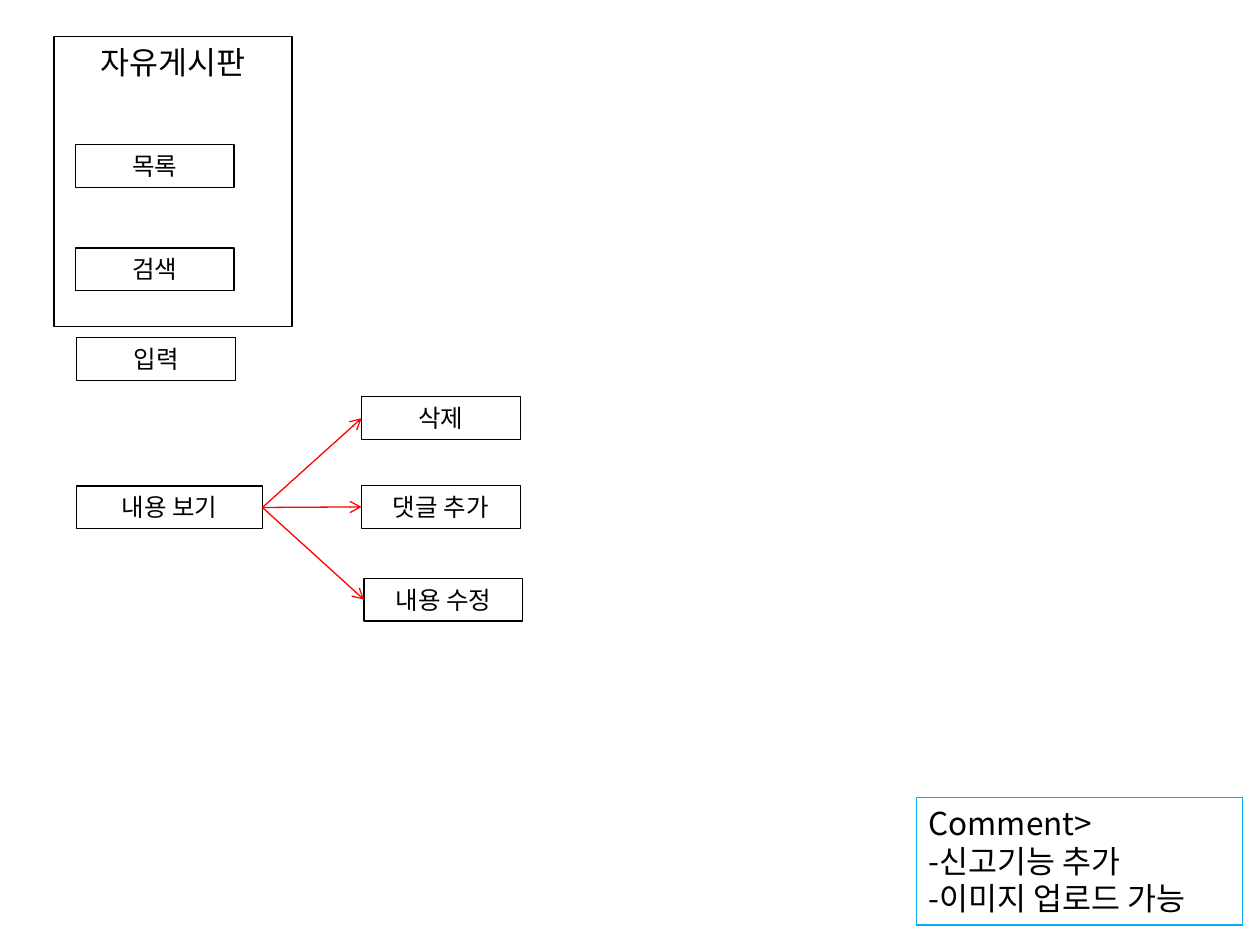
"""Build the free-board feature map slide."""
from lxml import etree
from pptx import Presentation
from pptx.dml.color import RGBColor
from pptx.enum.shapes import MSO_CONNECTOR
from pptx.enum.text import MSO_ANCHOR, MSO_AUTO_SIZE, PP_ALIGN
from pptx.oxml.ns import qn
from pptx.util import Cm, Pt

STRAIGHT = MSO_CONNECTOR.STRAIGHT
TOP = MSO_ANCHOR.TOP
GROW = MSO_AUTO_SIZE.SHAPE_TO_FIT_TEXT
LEFT, CENTER = PP_ALIGN.LEFT, PP_ALIGN.CENTER
FONT = "Noto Sans CJK KR"
COLORS = {"ink": "000000", "arrow": "FF0000", "comment": "00B0F0"}
BOX_WIDTH, BOX_HEIGHT = 3.2, 0.86
RIGHT_SIDE, LEFT_SIDE = 3, 1


def write_box(box, text, at, size=14, border="ink", align=CENTER, wrap=True):
    box.left, box.top, box.width, box.height = [Cm(length) for length in at]
    box.line.color.rgb = RGBColor.from_string(COLORS[border])
    box.line.width = Pt(0.75)
    frame = box.text_frame
    frame.word_wrap = wrap
    frame.auto_size = GROW
    frame.vertical_anchor = TOP
    frame.text = text
    for paragraph in frame.paragraphs:
        paragraph.alignment = align
        paragraph.space_before = Pt(0)
        for run in paragraph.runs:
            run.font.size = Pt(size)
            run.font.color.rgb = RGBColor.from_string(COLORS["ink"])
            run.font.name = FONT
            east_asian = etree.SubElement(run.font._element, qn("a:ea"))
            east_asian.set("typeface", FONT)
    return box


prs = Presentation()
prs.slide_width, prs.slide_height = Cm(25.4), Cm(19.05)
slide = prs.slides.add_slide(prs.slide_layouts[5])
shapes = slide.shapes

write_box(shapes.title, "자유게시판", (1.09, 0.74, 4.8, 1.02), size=18)

features = [
    ("목록", 1.52, 2.92, BOX_WIDTH),
    ("검색", 1.52, 5.0, BOX_WIDTH),
    ("입력", 1.55, 6.81, BOX_WIDTH),
    ("내용 보기", 1.55, 9.8, 3.74),
    ("삭제", 7.29, 8.0, BOX_WIDTH),
    ("댓글 추가", 7.29, 9.79, BOX_WIDTH),
    ("내용 수정", 7.34, 11.66, BOX_WIDTH),
]
feature_boxes = {}
for label, left, top, width in features:
    feature_boxes[label] = write_box(
        shapes.add_textbox(0, 0, 0, 0), label, (left, top, width, BOX_HEIGHT))

for action in ("댓글 추가", "내용 수정", "삭제"):
    arrow = shapes.add_connector(STRAIGHT, 0, 0, 0, 0)
    arrow.begin_connect(feature_boxes["내용 보기"], RIGHT_SIDE)
    arrow.end_connect(feature_boxes[action], LEFT_SIDE)
    arrow.line.color.rgb = RGBColor.from_string(COLORS["arrow"])
    arrow.line.width = Pt(0.75)
    outline = arrow.line._get_or_add_ln()
    etree.SubElement(outline, qn("a:tailEnd")).set("type", "arrow")
    etree.SubElement(arrow._element.spPr, qn("a:effectLst"))

write_box(shapes.add_textbox(0, 0, 0, 0),
          "Comment>\n-신고기능 추가\n-이미지 업로드 가능",
          (18.47, 16.08, 6.58, 2.57),
          size=18, border="comment", align=LEFT, wrap=False)

prs.save("out.pptx")
